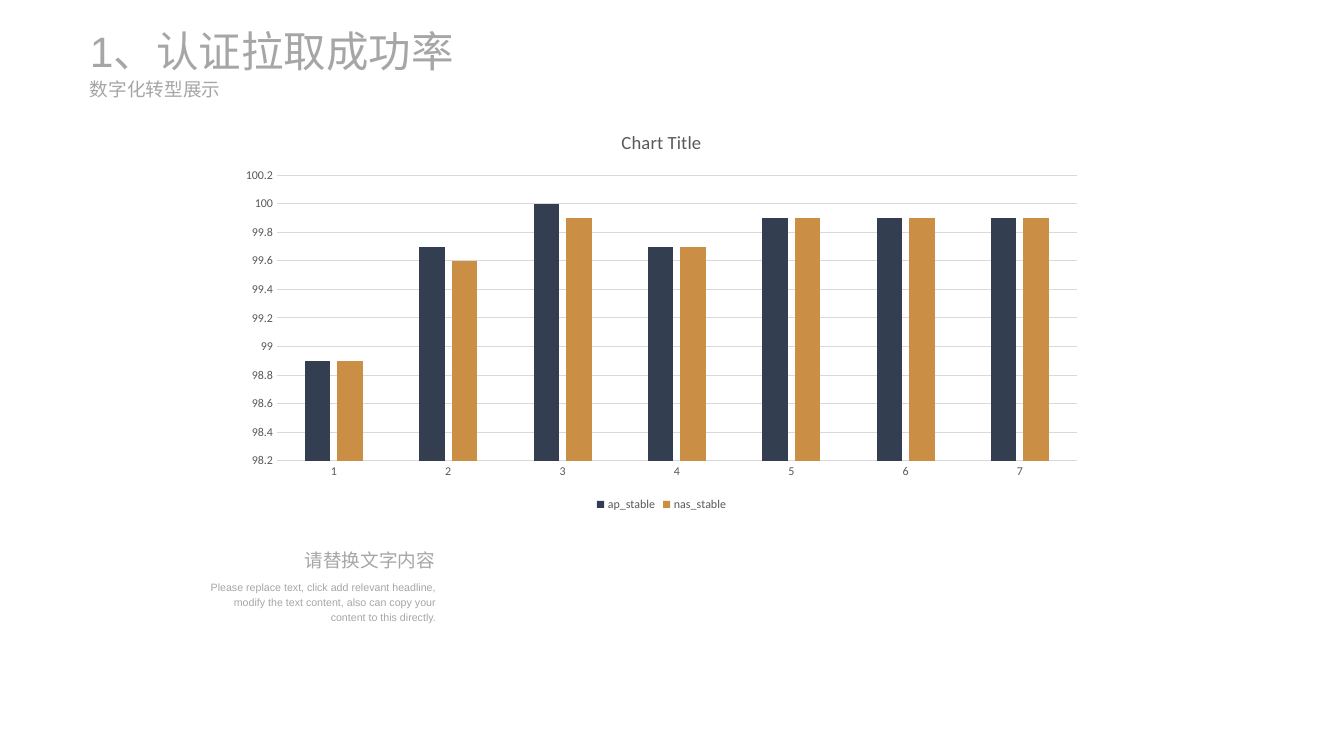
"""Build the authentication pull success rate slide."""
import pptx
import pptx.chart.data
import pptx.dml.color
import pptx.enum.chart
import pptx.enum.text
import pptx.util

Cm = pptx.util.Cm
Pt = pptx.util.Pt
RGBColor = pptx.dml.color.RGBColor
Align = pptx.enum.text.PP_ALIGN
Anchor = pptx.enum.text.MSO_ANCHOR

PALE = RGBColor(0xA6, 0xA6, 0xA6)
DARK = RGBColor(0x59, 0x59, 0x59)
GRID = RGBColor(0xD9, 0xD9, 0xD9)
NAVY = RGBColor(0x33, 0x3F, 0x50)
OCHRE = RGBColor(0xCA, 0x8F, 0x45)


def set_font(font, name, size, color):
    for key, value in {"name": name, "size": Pt(size), "bold": False}.items():
        setattr(font, key, value)
    font.color.rgb = color


def write_text(box, place, text, size, frame_format, para_format):
    box.left, box.top, box.width, box.height = map(Cm, place)
    frame = box.text_frame
    frame.text = text
    for key, value in frame_format.items():
        setattr(frame, key, value)
    para = frame.paragraphs[0]
    for key, value in para_format.items():
        setattr(para, key, value)
    set_font(para.runs[0].font, "Arial", size, PALE)


deck = pptx.Presentation()
deck.slide_width, deck.slide_height = Cm(35.71), Cm(20.09)
page = deck.slides.add_slide(deck.slide_layouts[5])

base = {"word_wrap": True, "auto_size": pptx.enum.text.MSO_AUTO_SIZE.NONE}
margins = ("margin_left", "margin_top", "margin_right", "margin_bottom")
header = {**base, "vertical_anchor": Anchor.MIDDLE, **dict.fromkeys(margins, 0)}
caption = {**base, "vertical_anchor": Anchor.TOP}
left = {"alignment": Align.LEFT}
right = {"alignment": Align.RIGHT, "line_spacing": 1.2}

write_text(page.shapes.title, (2.39, 0.66, 10.97, 1.37),
           "1、认证拉取成功率", 32, header, left)
notes = [
    ((2.39, 2.06, 7.8, 0.61), "数字化转型展示", 14, header, left),
    ((7.26, 14.35, 4.55, 0.91), "请替换文字内容", 14, caption, right),
    ((5.26, 15.24, 6.58, 1.45),
     "Please replace text, click add relevant headline, modify the text "
     "content, also can copy your content to this directly.", 8, caption, right),
]
for place, *details in notes:
    write_text(page.shapes.add_textbox(*map(Cm, place)), place, *details)

rates = pptx.chart.data.CategoryChartData()
rates.categories = [str(day) for day in range(1, 8)]
rates.add_series("ap_stable", (98.9, 99.7, 100, 99.7, 99.9, 99.9, 99.9))
rates.add_series("nas_stable", (98.9, 99.6, 99.9, 99.7, 99.9, 99.9, 99.9))
chart = page.shapes.add_chart(
    pptx.enum.chart.XL_CHART_TYPE.COLUMN_CLUSTERED,
    Cm(6.07), Cm(3), Cm(23.01), Cm(10.69), rates).chart
set_font(chart.font, "Calibri", 10, DARK)

chart.has_title = True
chart.chart_title.include_in_layout = False
chart.chart_title.text_frame.text = "Chart Title"
set_font(chart.chart_title.text_frame.paragraphs[0].runs[0].font,
         "Calibri", 14, DARK)

chart.has_legend = True
chart.legend.position = pptx.enum.chart.XL_LEGEND_POSITION.BOTTOM
chart.legend.include_in_layout = False
set_font(chart.legend.font, "Calibri", 9, DARK)

plot = chart.plots[0]
for key, value in {"gap_width": 219, "overlap": -27,
                   "vary_by_categories": False}.items():
    setattr(plot, key, value)
for series, color in zip(plot.series, (NAVY, OCHRE)):
    series.format.fill.solid()
    series.format.fill.fore_color.rgb = color

days, percent = chart.category_axis, chart.value_axis
for axis in (days, percent):
    axis.major_tick_mark = pptx.enum.chart.XL_TICK_MARK.NONE
    axis.minor_tick_mark = pptx.enum.chart.XL_TICK_MARK.NONE
    set_font(axis.tick_labels.font, "Calibri", 9, DARK)
for key, value in {"minimum_scale": 98.2, "maximum_scale": 100.2,
                   "major_unit": 0.2, "has_major_gridlines": True}.items():
    setattr(percent, key, value)
percent.format.line.fill.background()
for line in (days.format.line, percent.major_gridlines.format.line):
    line.color.rgb = GRID
    line.width = Pt(0.75)

deck.save("out.pptx")
